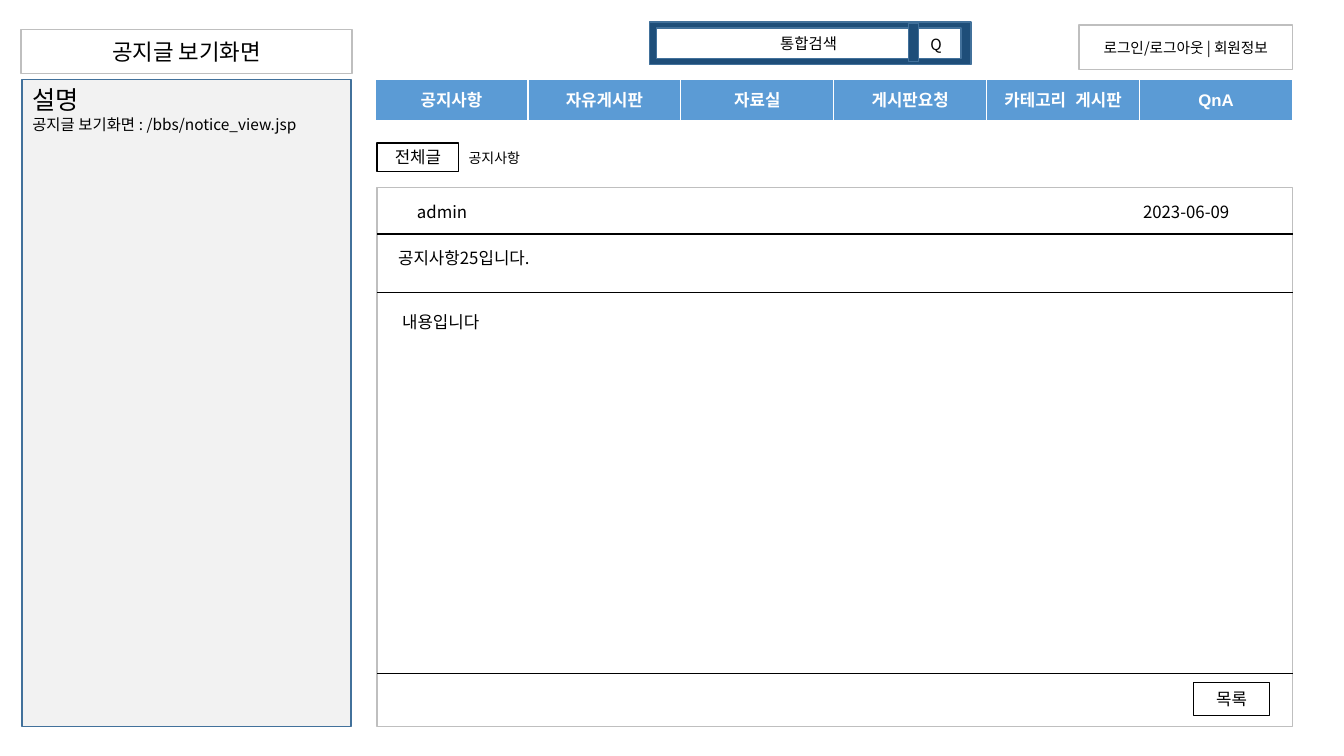
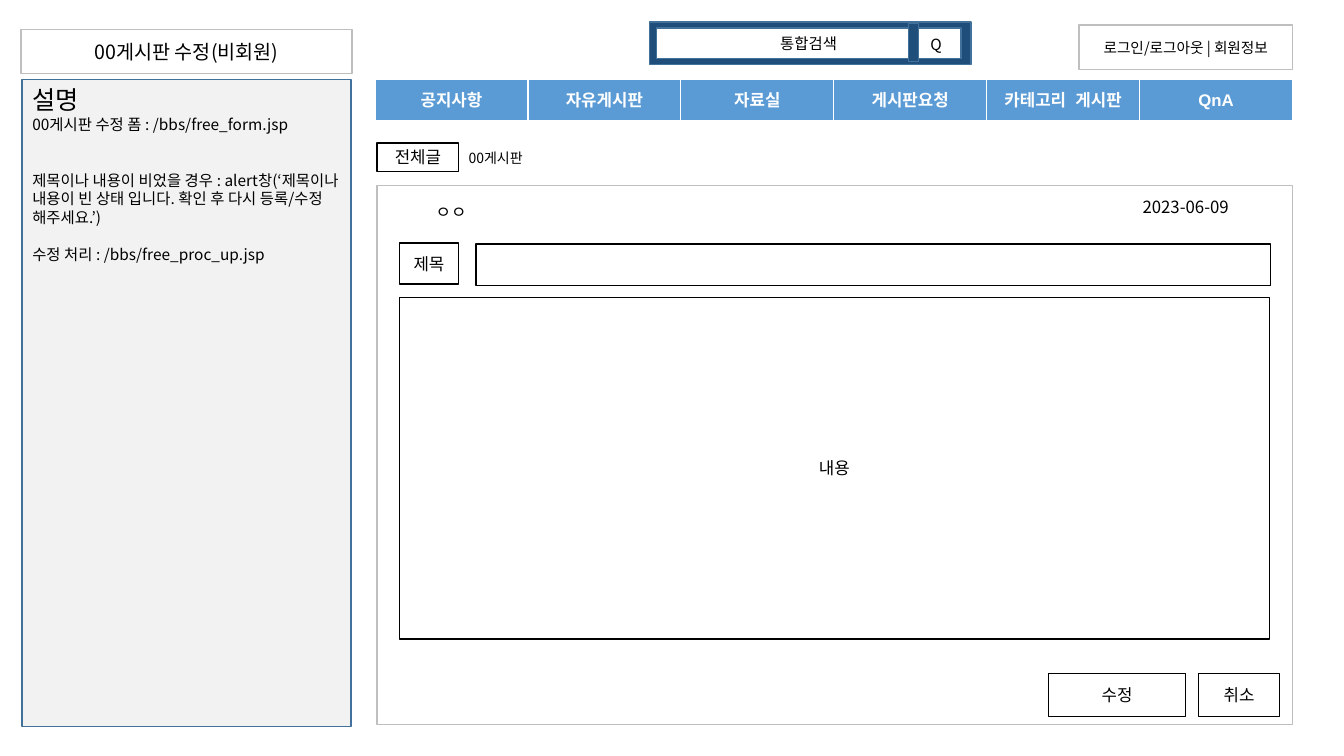
from dataclasses import dataclass

from lxml import etree
from pptx import Presentation
from pptx.dml.color import RGBColor
from pptx.enum.shapes import MSO_CONNECTOR, MSO_SHAPE
from pptx.enum.text import MSO_ANCHOR, MSO_AUTO_SIZE, PP_ALIGN
from pptx.oxml.ns import qn
from pptx.util import Inches, Pt


@dataclass(frozen=True)
class Theme:
    font: str = "Noto Sans CJK KR"
    menu_font: str = "Arial"
    black: RGBColor = RGBColor(0x00, 0x00, 0x00)
    white: RGBColor = RGBColor(0xFF, 0xFF, 0xFF)
    gray: RGBColor = RGBColor(0xBF, 0xBF, 0xBF)
    pale: RGBColor = RGBColor(0xF2, 0xF2, 0xF2)
    navy: RGBColor = RGBColor(0x1E, 0x4E, 0x79)
    edge: RGBColor = RGBColor(0x42, 0x71, 0x9B)
    blue: RGBColor = RGBColor(0x5B, 0x9B, 0xD5)
    heading: float = 18
    normal: float = 12
    small: float = 11
    login: float = 10.5
    crumb: float = 10


theme = Theme()


def write(para, text, size=theme.normal, color=theme.black, font=theme.font):
    """Add one run, with the font set for Latin and Korean letters alike."""
    span = para.add_run()
    span.text = text
    span.font.size = Pt(size)
    span.font.name = font
    span.font.color.rgb = color
    east_asian = etree.SubElement(span.font._element, qn("a:ea"))
    east_asian.set("typeface", font)
    return span


def add_box(page, area, text="", line=None, fill=None, size=theme.normal,
            align=PP_ALIGN.CENTER):
    """Add a rectangle, or a plain text box when it has no line."""
    area = [Inches(length) for length in area]
    if line is None:
        box = page.shapes.add_textbox(*area)
    else:
        box = page.shapes.add_shape(MSO_SHAPE.RECTANGLE, *area)
        box.shadow.inherit = False
        box.fill.solid()
        box.fill.fore_color.rgb = fill or theme.white
        box.line.color.rgb = line
        box.line.width = Pt(1)
    if text:
        frame = box.text_frame
        frame.word_wrap = True
        frame.vertical_anchor = MSO_ANCHOR.MIDDLE
        frame.paragraphs[0].alignment = align
        write(frame.paragraphs[0], text, size)


deck = Presentation()
deck.slide_width, deck.slide_height = Inches(13.33), Inches(7.5)

menu = ["공지사항", "자유게시판", "자료실", "게시판요청", "카테고리  게시판", "QnA"]
panel_left, panel_width, panel_height = 3.74, 9.08, 5.35

# Each note is its text and the space before it in points
screens = [
    {"title": "공지글 보기화면", "title_size": 16, "crumb": "공지사항",
     "panel_top": 1.86,
     "notes": [("공지글 보기화면 : /bbs/notice_view.jsp", 0)]},
    {"title": "00게시판 수정(비회원)", "title_size": 14, "crumb": "00게시판",
     "panel_top": 1.84,
     "notes": [("00게시판 수정 폼 : /bbs/free_form.jsp", 0),
               ("제목이나 내용이 비었을 경우 : alert창(‘제목이나 내용이 빈 상태 입니다. "
                "확인 후 다시 등록/수정 해주세요.’)", 26.6),
               ("수정 처리 : /bbs/free_proc_up.jsp", 13.3)]},
]

# Parts shared by both screens
pages = []
for screen in screens:
    page = deck.slides.add_slide(deck.slide_layouts[1])
    pages.append(page)
    title, notes = page.placeholders

    # Title and description
    for box, area, fill, line, anchor in (
        (title, (0.21, 0.29, 3.28, 0.44), theme.white, theme.gray, MSO_ANCHOR.MIDDLE),
        (notes, (0.22, 0.79, 3.26, 6.42), theme.pale, theme.edge, MSO_ANCHOR.TOP),
    ):
        box.left, box.top, box.width, box.height = [Inches(n) for n in area]
        box.fill.solid()
        box.fill.fore_color.rgb = fill
        box.line.color.rgb = line
        box.line.width = Pt(1)
        box.text_frame.auto_size = MSO_AUTO_SIZE.NONE
        box.text_frame.vertical_anchor = anchor
    write(title.text_frame.paragraphs[0], screen["title"], screen["title_size"])

    entries = [("설명", 0, theme.heading)]
    entries += [(text, gap, theme.small) for text, gap in screen["notes"]]
    for index, (text, gap, size) in enumerate(entries):
        frame = notes.text_frame
        para = frame.add_paragraph() if index else frame.paragraphs[0]
        para.space_before = Pt(gap)
        properties = para._p.get_or_add_pPr()
        properties.set("marL", "0")
        properties.set("indent", "0")
        etree.SubElement(properties, qn("a:buNone"))
        write(para, text, size)

    # Login and search
    add_box(page, (10.7, 0.25, 2.12, 0.44), "로그인/로그아웃 | 회원정보",
            theme.gray, size=theme.login)
    add_box(page, (6.44, 0.22, 3.19, 0.42), line=theme.edge, fill=theme.navy)
    add_box(page, (6.51, 0.28, 3.02, 0.3), "통합검색", theme.edge, size=theme.small)
    add_box(page, (9.01, 0.23, 0.1, 0.38), line=theme.edge, fill=theme.navy)
    add_box(page, (9.04, 0.24, 0.49, 0.4), "Q", size=theme.small)

    # Menu
    table = page.shapes.add_table(1, len(menu), Inches(3.72), Inches(0.79),
                                  Inches(9.1), Inches(0.41)).table
    for cell, label in zip(table.rows[0].cells, menu):
        cell.fill.solid()
        cell.fill.fore_color.rgb = theme.blue
        cell.vertical_anchor = MSO_ANCHOR.MIDDLE
        para = cell.text_frame.paragraphs[0]
        para.alignment = PP_ALIGN.CENTER
        span = write(para, label, color=theme.white, font=theme.menu_font)
        span.font.bold = True

    # Breadcrumb and panel
    add_box(page, (panel_left, 1.42, 0.81, 0.28), "전체글", theme.black)
    add_box(page, (4.55, 1.43, 1.14, 0.27), screen["crumb"],
            size=theme.crumb, align=PP_ALIGN.LEFT)
    add_box(page, (panel_left, screen["panel_top"], panel_width, panel_height),
            line=theme.gray)

view_page, edit_page = pages

# Notice view
add_box(view_page, (3.85, 1.9, 1.07, 0.41), "admin")
add_box(view_page, (10.81, 1.9, 1.91, 0.41), "2023-06-09")
add_box(view_page, (3.85, 2.35, 8.62, 0.41), "공지사항25입니다.", align=PP_ALIGN.LEFT)
add_box(view_page, (3.89, 3.04, 8.8, 0.3), "내용입니다", align=PP_ALIGN.LEFT)
for top, width in ((2.32, 1), (2.9, 1), (6.68, 0.75)):
    rule = view_page.shapes.add_connector(
        MSO_CONNECTOR.STRAIGHT, Inches(panel_left), Inches(top),
        Inches(panel_left + panel_width), Inches(top))
    rule.line.color.rgb = theme.black
    rule.line.width = Pt(width)
    etree.SubElement(rule._element.spPr, qn("a:effectLst"))
add_box(view_page, (11.84, 6.77, 0.75, 0.33), "목록", theme.black)

# Post edit form
add_box(edit_page, (3.77, 1.94, 1.41, 0.33), "ㅇㅇ")
add_box(edit_page, (10.78, 1.85, 1.96, 0.41), "2023-06-09")
add_box(edit_page, (3.96, 2.41, 0.59, 0.41), "제목", theme.black)
add_box(edit_page, (4.72, 2.42, 7.88, 0.41), line=theme.black)
add_box(edit_page, (3.96, 2.95, 8.63, 3.39), "내용", theme.black)
add_box(edit_page, (10.4, 6.68, 1.36, 0.43), "수정", theme.black)
add_box(edit_page, (11.89, 6.68, 0.8, 0.43), "취소", theme.black)

deck.save("out.pptx")
